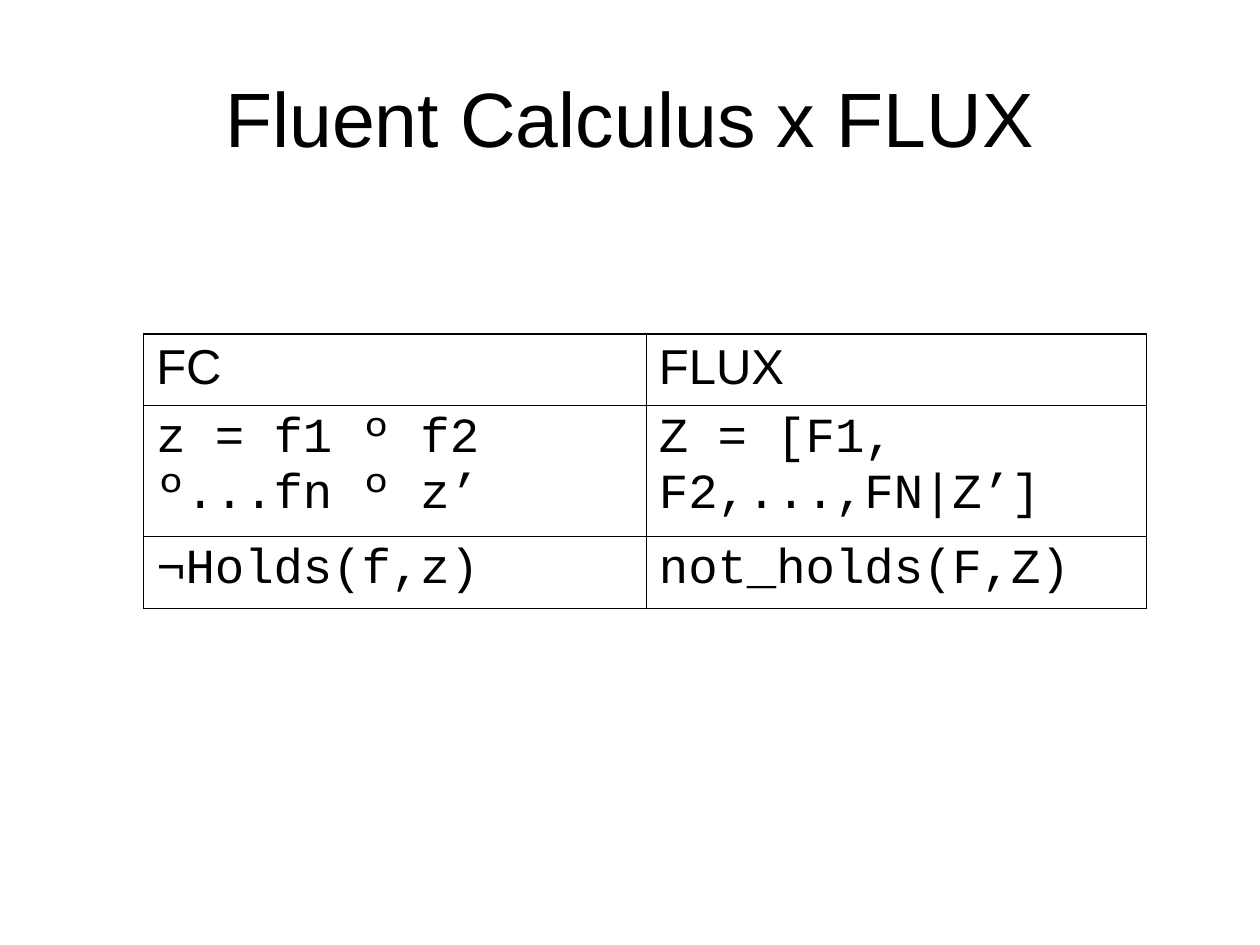
from lxml import etree
from pptx import Presentation
from pptx.dml.color import RGBColor
from pptx.enum.text import MSO_ANCHOR, PP_ALIGN
from pptx.oxml.ns import qn
from pptx.util import Inches, Pt

BLACK = RGBColor(0, 0, 0)
WHITE = RGBColor(255, 255, 255)
CENTER, LEFT = PP_ALIGN.CENTER, PP_ALIGN.LEFT
MIDDLE, TOP = MSO_ANCHOR.MIDDLE, MSO_ANCHOR.TOP
TITLE_ONLY = 5

OUTER, INNER = Pt(1.08), Pt(0.45)
COL_WIDTHS = (3.99, 3.97)
ROW_HEIGHTS = (0.57, 1.04, 0.57)
ROWS = (
    ("FC", "FLUX"),
    ("z = f1 º f2 º...fn º z’", "Z = [F1, F2,...,FN|Z’]"),
    ("¬Holds(f,z)", "not_holds(F,Z)"),
)


def write(tf, text, size, font, align):
    tf.word_wrap = True
    p = tf.paragraphs[0]
    p.alignment = align
    r = p.add_run()
    r.text = text
    r.font.size = Pt(size)
    r.font.name = font
    r.font.color.rgb = BLACK


def set_borders(cell, widths):
    """Draw the cell's sides; widths maps L, R, T and B, in that order."""
    tcPr = cell._tc.get_or_add_tcPr()
    for i, (side, width) in enumerate(widths.items()):
        ln = etree.Element(qn(f"a:ln{side}"), w=str(int(width)))
        fill = etree.SubElement(ln, qn("a:solidFill"))
        etree.SubElement(fill, qn("a:srgbClr"), val=str(BLACK))
        tcPr.insert(i, ln)


def place_title(slide, text, left, top, width, height):
    title = slide.shapes.title
    title.left, title.top = Inches(left), Inches(top)
    title.width, title.height = Inches(width), Inches(height)
    title.text_frame.vertical_anchor = MIDDLE
    write(title.text_frame, text, 44, "Arial", CENTER)


def place_comparison(slide, left, top):
    n_rows, n_cols = len(ROWS), len(COL_WIDTHS)
    table = slide.shapes.add_table(
        n_rows, n_cols, Inches(left), Inches(top),
        Inches(sum(COL_WIDTHS)), Inches(sum(ROW_HEIGHTS))).table
    table.first_row = table.horz_banding = False
    for col, width in zip(table.columns, COL_WIDTHS):
        col.width = Inches(width)
    for i, (row, height) in enumerate(zip(table.rows, ROW_HEIGHTS)):
        row.height = Inches(height)
        font = "Courier New" if i else "Arial"
        for j, cell in enumerate(row.cells):
            cell.fill.background()
            cell.vertical_anchor = TOP
            write(cell.text_frame, ROWS[i][j], 28, font, LEFT)
            set_borders(cell, {
                "L": INNER if j else OUTER,
                "R": OUTER if j == n_cols - 1 else INNER,
                "T": INNER if i else OUTER,
                "B": OUTER if i == n_rows - 1 else INNER,
            })


def main():
    prs = Presentation()
    prs.slide_width, prs.slide_height = Inches(10), Inches(7.5)
    slide = prs.slides.add_slide(prs.slide_layouts[TITLE_ONLY])
    slide.background.fill.solid()
    slide.background.fill.fore_color.rgb = WHITE
    place_title(slide, "Fluent Calculus x FLUX", 0.5, 0.3, 9, 1.25)
    place_comparison(slide, 1.14, 2.65)
    prs.save("out.pptx")


if __name__ == "__main__":
    main()
